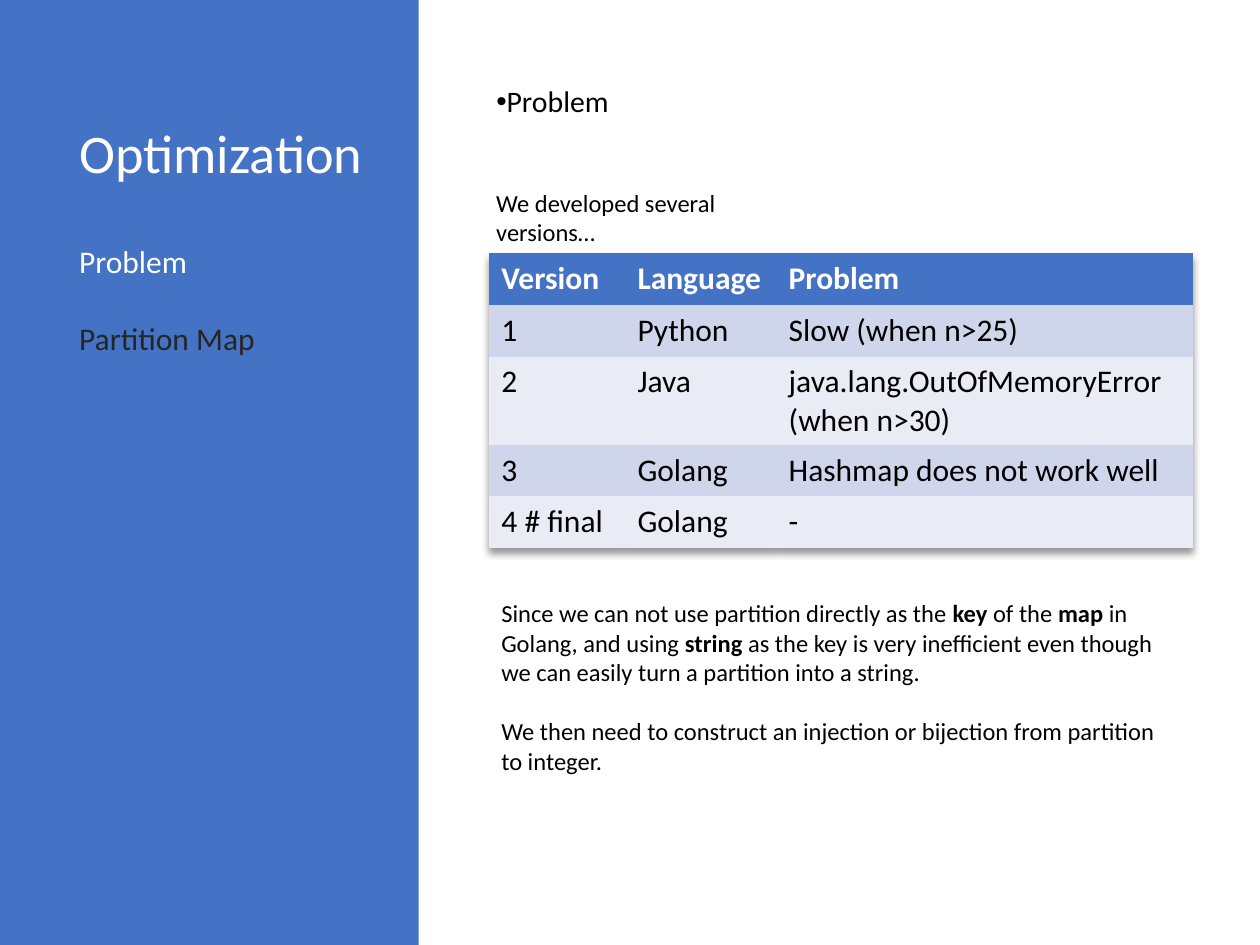
from lxml.etree import SubElement, fromstring
from pptx import Presentation
from pptx.dml.color import RGBColor
from pptx.enum.shapes import MSO_SHAPE
from pptx.enum.text import MSO_ANCHOR
from pptx.oxml.ns import qn
from pptx.util import Inches, Pt

WIDTH, HEIGHT = 10, 7.5
FONT = "Calibri"
BLUE, WHITE, BLACK, GREY = "4472C4", "FFFFFF", "000000", "262626"
BANDS = ("CFD5EA", "E9EBF5")
LINE_HEIGHT = 1.22  # one line of Calibri, as a share of its size
NO_STYLE = "{2D5ABB26-0587-4C30-8999-92F81FD0307C}"
TABLE_SHADOW = (
    '<a:effectLst xmlns:a="http://schemas.openxmlformats.org/drawingml/2006/main">'
    '<a:outerShdw blurRad="50800" dist="38100" dir="5400000" algn="t" rotWithShape="0">'
    '<a:srgbClr val="000000"><a:alpha val="40000"/></a:srgbClr>'
    '</a:outerShdw></a:effectLst>')

VERSIONS = [
    ("Version", "Language", "Problem"),
    ("1", "Python", "Slow (when n>25)"),
    ("2", "Java", "java.lang.OutOfMemoryError (when n>30)"),
    ("3", "Golang", "Hashmap does not work well"),
    ("4 # final", "Golang", "-"),
]
COLUMN_WIDTHS = (1.08, 1.2, 3.31)
ROW_HEIGHTS = (0.41, 0.41, 0.7, 0.41, 0.41)
EXPLANATION = [
    ("Since we can not use partition directly as the ", False),
    ("key", True),
    (" of the ", False),
    ("map", True),
    (" in Golang, and using ", False),
    ("string", True),
    (" as the key is very inefficient even though we can easily "
     "turn a partition into a string.", False),
]
CONCLUSION = ("We then need to construct an injection or bijection "
              "from partition to integer.")


def color(value):
    return RGBColor.from_string(value)


def add_span(para, text, size=14, fill=BLACK, bold=False):
    span = para.add_run()
    span.text = text
    span.font.name = FONT
    span.font.size = Pt(size)
    span.font.bold = bold
    span.font.color.rgb = color(fill)


def add_text_frame(page, box, anchor=MSO_ANCHOR.TOP):
    frame = page.shapes.add_textbox(*map(Inches, box)).text_frame
    frame.word_wrap = True
    frame.vertical_anchor = anchor
    return frame


def add_spaced_para(frame, size):
    """Start a paragraph one line's height below the one before."""
    para = frame.add_paragraph()
    para.space_before = Pt(round(size * LINE_HEIGHT))
    return para


def add_sidebar(page, box):
    left, top, width, height = box
    panel = page.shapes.add_shape(MSO_SHAPE.RECTANGLE, *map(Inches, box))
    panel.shadow.inherit = False
    panel.fill.solid()
    panel.fill.fore_color.rgb = color(BLUE)
    panel.line.fill.background()

    text_left, text_width = left + 0.54, width * 0.76
    title = add_text_frame(page, (text_left, top + 0.7, text_width, 1.08),
                           MSO_ANCHOR.MIDDLE).paragraphs[0]
    title.line_spacing = 0.9
    add_span(title, "Optimization", size=31, fill=WHITE)

    agenda = add_text_frame(page, (text_left, top + height / 4, text_width, 1.01))
    add_span(agenda.paragraphs[0], "Problem", size=18, fill=WHITE)
    add_span(add_spaced_para(agenda, 18), "Partition Map", size=18, fill=GREY)


def add_heading(page, box):
    para = add_text_frame(page, box, MSO_ANCHOR.MIDDLE).paragraphs[0]
    para.line_spacing = 0.9
    para.space_after = Pt(6)
    properties = para._p.get_or_add_pPr()
    properties.set("marL", "0")
    properties.set("indent", str(-Inches(0.25)))
    SubElement(properties, qn("a:buFont")).set("typeface", "Arial")
    SubElement(properties, qn("a:buChar")).set("char", "•")
    add_span(para, "Problem", size=17)


def add_version_table(page, box):
    frame = page.shapes.add_table(len(VERSIONS), len(COLUMN_WIDTHS),
                                  *map(Inches, box))
    table = frame.table
    properties = table._tbl.tblPr
    properties.insert(0, fromstring(TABLE_SHADOW))
    properties.find(qn("a:tableStyleId")).text = NO_STYLE
    for column, width in zip(table.columns, COLUMN_WIDTHS):
        column.width = Inches(width)
    for index, (row, height) in enumerate(zip(table.rows, ROW_HEIGHTS)):
        row.height = Inches(height)
        header = index == 0
        for cell, text in zip(row.cells, VERSIONS[index]):
            cell.fill.solid()
            cell.fill.fore_color.rgb = color(BLUE if header else BANDS[(index - 1) % 2])
            add_span(cell.text_frame.paragraphs[0], text, size=18,
                     fill=WHITE if header else BLACK, bold=header)


def add_explanation(page, box):
    frame = add_text_frame(page, box)
    for text, bold in EXPLANATION:
        add_span(frame.paragraphs[0], text, bold=bold)
    add_span(add_spaced_para(frame, 14), CONCLUSION)


def main():
    deck = Presentation()
    deck.slide_width, deck.slide_height = Inches(WIDTH), Inches(HEIGHT)
    page = deck.slides.add_slide(deck.slide_layouts[6])

    add_sidebar(page, (-0.01, 0, WIDTH / 3, HEIGHT))
    add_heading(page, (3.84, 0.42, 5.62, 0.79))
    intro = add_text_frame(page, (3.84, 1.44, 2.7, 0.57))
    add_span(intro.paragraphs[0], "We developed several versions…")
    table_width = sum(COLUMN_WIDTHS)
    add_version_table(page, (3.88, 2.01, table_width, sum(ROW_HEIGHTS)))
    add_explanation(page, (3.88, 4.7, table_width, 1.51))
    deck.save("out.pptx")


if __name__ == "__main__":
    main()
